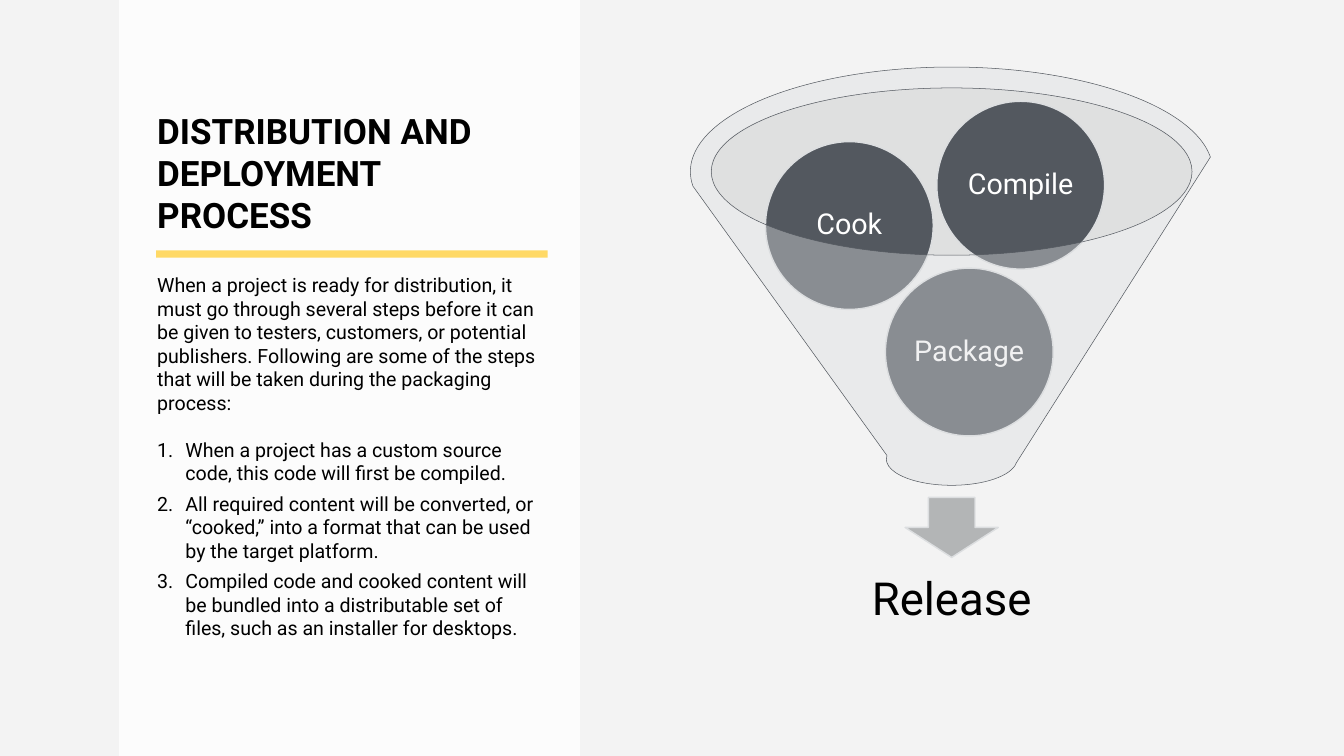
from typing import NamedTuple

from lxml.etree import SubElement
from pptx import Presentation
from pptx.dml.color import RGBColor
from pptx.enum.shapes import MSO_SHAPE as SHAPE
from pptx.enum.text import MSO_ANCHOR as ANCHOR, MSO_AUTO_SIZE as AUTO, PP_ALIGN as ALIGN
from pptx.oxml.ns import qn
from pptx.util import Inches, Pt

FONT = "Roboto"
BLACK, WHITE, SLATE, SILVER = "000000", "FFFFFF", "53585F", "DCDEE0"
BALL_SIZE = 3.33
INSET = 0.06


class Box(NamedTuple):
    left: float
    top: float
    width: float
    height: float


class Ball(NamedTuple):
    label: str
    left: float
    top: float


BALLS = [
    Ball("Package", 17.57, 5.32),
    Ball("Cook", 15.19, 2.81),
    Ball("Compile", 18.59, 2.01),
]
INTRO = (
    "When a project is ready for distribution, it must go through several steps "
    "before it can be given to testers, customers, or potential publishers. "
    "Following are some of the steps that will be taken during the packaging process:"
)
STEPS = [
    "When a project has a custom source code, this code will first be compiled.",
    "All required content will be converted, or “cooked,” into a format that can "
    "be used by the target platform.",
    "Compiled code and cooked content will be bundled into a distributable set of "
    "files, such as an installer for desktops.",
]


def rgb(color: str) -> RGBColor:
    return RGBColor.from_string(color)


def place(sp, box: Box) -> None:
    for name, value in box._asdict().items():
        setattr(sp, name, Inches(value))


def set_frame(tf, anchor) -> None:
    formats = {"word_wrap": True, "auto_size": AUTO.NONE, "vertical_anchor": anchor}
    for side in ("left", "top", "right", "bottom"):
        formats[f"margin_{side}"] = Inches(INSET)
    for name, value in formats.items():
        setattr(tf, name, value)


def write(p, text: str, size: float, color: str = BLACK, bold: bool = False,
          **formats) -> None:
    """Add one run to a paragraph; formats are paragraph attributes."""
    for name, value in {"space_before": Pt(0), **formats}.items():
        setattr(p, name, value)
    r = p.add_run()
    r.text = text
    font = {"name": FONT, "size": Pt(size), "bold": bold}
    for name, value in font.items():
        setattr(r.font, name, value)
    r.font.color.rgb = rgb(color)


def set_bullet(p, indent: float, numbered: bool) -> None:
    pPr = p._p.get_or_add_pPr()
    pPr.set("marL", str(Inches(indent)))
    pPr.set("indent", str(-Inches(indent)))
    if numbered:
        SubElement(pPr, qn("a:buFont"), typeface=FONT)
        SubElement(pPr, qn("a:buAutoNum"), type="arabicPeriod")
    else:
        SubElement(pPr, qn("a:buNone"))


def add_shape(slide, kind, box: Box, fill: str, opacity: int = 100,
              line: str = "", width: float = 0):
    sp = slide.shapes.add_shape(kind, *(Inches(v) for v in box))
    sp.shadow.inherit = False
    sp.fill.solid()
    sp.fill.fore_color.rgb = rgb(fill)
    if opacity < 100:
        clr = sp._element.spPr.find(qn("a:solidFill")).find(qn("a:srgbClr"))
        SubElement(clr, qn("a:alpha"), val=str(opacity * 1000))
    if line:
        sp.line.color.rgb = rgb(line)
        sp.line.width = Pt(width)
    else:
        sp.line.fill.background()
    return sp


def add_ball(slide, ball: Ball) -> None:
    box = Box(ball.left, ball.top, BALL_SIZE, BALL_SIZE)
    sp = add_shape(slide, SHAPE.OVAL, box, SLATE, line=SILVER, width=2)
    set_frame(sp.text_frame, ANCHOR.MIDDLE)
    write(sp.text_frame.paragraphs[0], ball.label, 41, WHITE,
          alignment=ALIGN.CENTER, line_spacing=0.9)


def add_text_column(slide) -> None:
    panel = add_shape(slide, SHAPE.RECTANGLE, Box(2.36, 0, 9.15, 15), WHITE, 80)
    slide.shapes._spTree.insert(2, panel._element)  # behind the placeholders

    title, body = slide.placeholders
    place(title, Box(3.06, 2.1, 7.75, 2.64))
    set_frame(title.text_frame, ANCHOR.BOTTOM)
    write(title.text_frame.paragraphs[0], "DISTRIBUTION AND DEPLOYMENT PROCESS", 50,
          bold=True, alignment=ALIGN.LEFT)

    place(body, Box(3.06, 5.36, 7.75, 7.46))
    tf = body.text_frame
    set_frame(tf, ANCHOR.TOP)
    set_bullet(tf.paragraphs[0], 0, numbered=False)
    write(tf.paragraphs[0], INTRO, 28, space_after=Pt(33))
    for step in STEPS:
        p = tf.add_paragraph()
        set_bullet(p, 0.56, numbered=True)
        write(p, step, 28, space_after=Pt(10))

    add_shape(slide, SHAPE.RECTANGLE, Box(3.1, 4.97, 7.77, 0.14), "FFD966")


def add_funnel(slide) -> None:
    add_shape(slide, SHAPE.OVAL, Box(14.1, 1.74, 9.56, 3.32), "C3C4C5", 40)
    add_shape(slide, SHAPE.DOWN_ARROW, Box(17.96, 9.87, 1.85, 1.19), "B3B5B6",
              line=SILVER, width=2)
    result = slide.shapes.add_textbox(*(Inches(v) for v in (14.44, 10.81, 8.89, 2.22)))
    set_frame(result.text_frame, ANCHOR.MIDDLE)
    write(result.text_frame.paragraphs[0], "Release", 65,
          alignment=ALIGN.CENTER, line_spacing=0.9)
    for ball in BALLS:
        add_ball(slide, ball)
    add_shape(slide, SHAPE.FUNNEL, Box(13.7, 1.33, 10.37, 8.3), SILVER, 40,
              line=SLATE, width=0.75)


def main() -> None:
    prs = Presentation()
    prs.slide_width, prs.slide_height = Inches(26.67), Inches(15)
    slide = prs.slides.add_slide(prs.slide_layouts[1])
    slide.background.fill.solid()
    slide.background.fill.fore_color.rgb = rgb("F3F3F3")
    add_text_column(slide)
    add_funnel(slide)
    prs.save("out.pptx")


if __name__ == "__main__":
    main()
